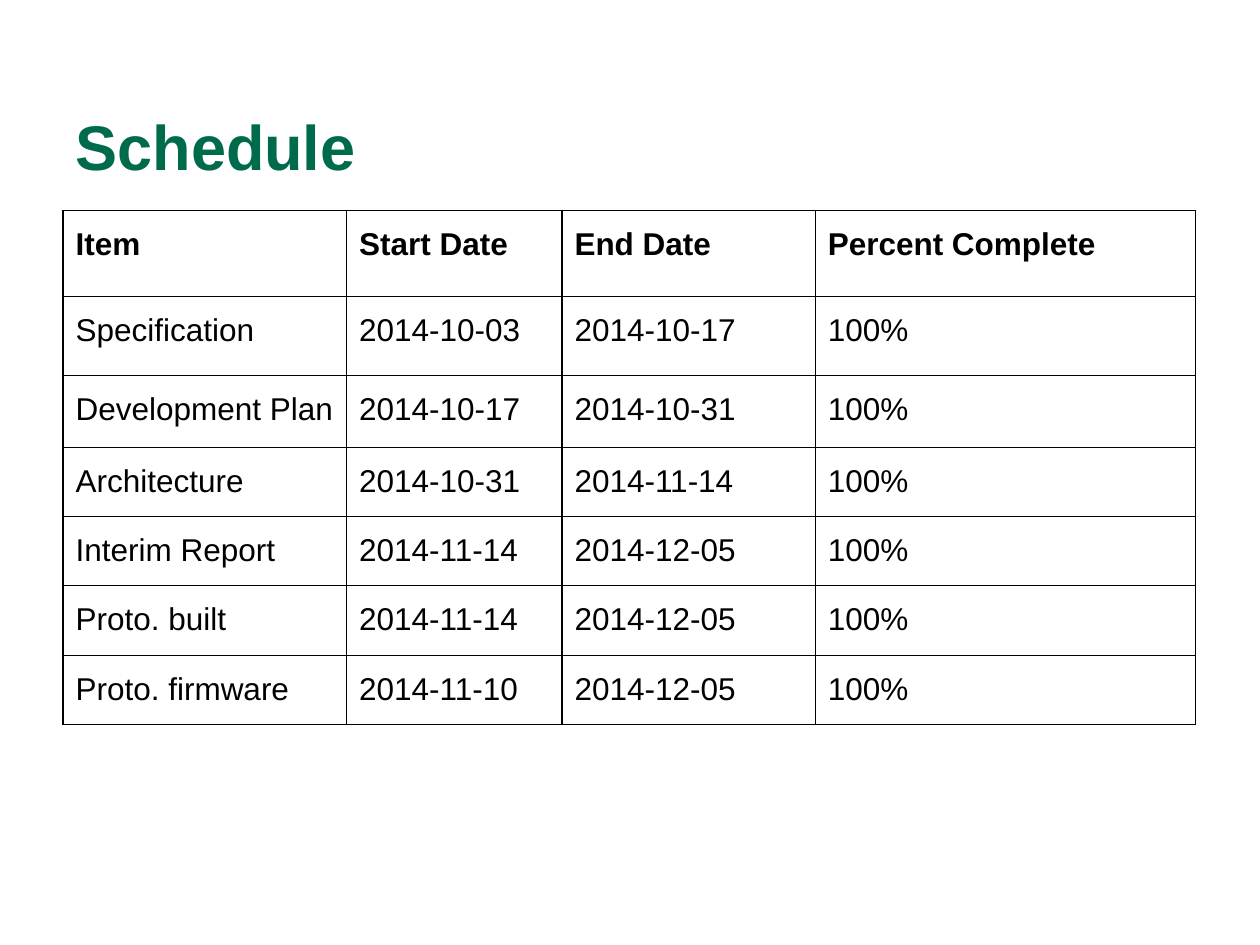
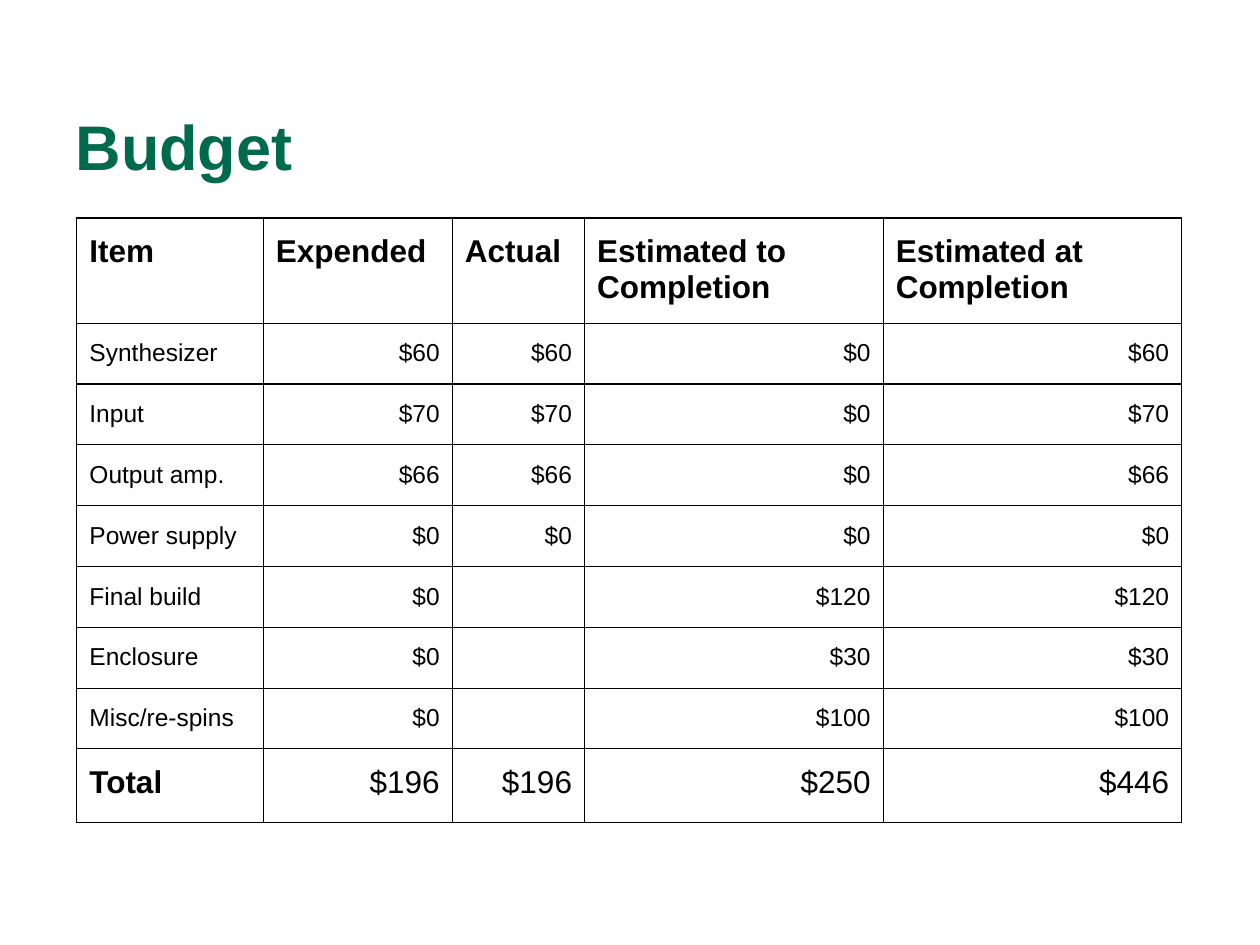
from lxml import etree
from pptx import Presentation
from pptx import util as u
from pptx.dml.color import RGBColor
from pptx.enum import text
from pptx.oxml import ns

COLORS = {"title": "006A4D", "ink": "000000"}
FONT = "Arial"
# The slide is a grid of 10 columns by 7.5 rows; boxes are left, top, width, height.
COLUMNS, ROWS = 10, 7.5
CELL = u.Inches(1)
TITLE_BOX = (0.5, 0.3, 9, 1.25)
TITLE_SIZE, LARGE, SMALL = 36, 18, 14

SCHEDULE = [
    ("Item", "Start Date", "End Date", "Percent Complete"),
    ("Specification", "2014-10-03", "2014-10-17", "100%"),
    ("Development Plan", "2014-10-17", "2014-10-31", "100%"),
    ("Architecture", "2014-10-31", "2014-11-14", "100%"),
    ("Interim Report", "2014-11-14", "2014-12-05", "100%"),
    ("Proto. built", "2014-11-14", "2014-12-05", "100%"),
    ("Proto. firmware", "2014-11-10", "2014-12-05", "100%"),
]
BUDGET = [
    ("Item", "Expended", "Actual", "Estimated to Completion", "Estimated at Completion"),
    ("Synthesizer", "$60", "$60", "$0", "$60"),
    ("Input", "$70", "$70", "$0", "$70"),
    ("Output amp.", "$66", "$66", "$0", "$66"),
    ("Power supply", "$0", "$0", "$0", "$0"),
    ("Final build", "$0", "", "$120", "$120"),
    ("Enclosure", "$0", "", "$30", "$30"),
    ("Misc/re-spins", "$0", "", "$100", "$100"),
    ("Total", "$196", "$196", "$250", "$446"),
]


def to_emu(box):
    return [round(length * CELL) for length in box]


def style_font(font, size, bold, color):
    font.name, font.size, font.bold = FONT, u.Pt(size), bold
    font.color.rgb = RGBColor.from_string(COLORS[color])


def add_titled_slide(prs, title):
    s = prs.slides.add_slide(prs.slide_layouts.get_by_name("Title Only"))
    sp = s.shapes.title
    sp.left, sp.top, sp.width, sp.height = to_emu(TITLE_BOX)
    tf = sp.text_frame
    tf.text = title
    tf.auto_size = text.MSO_AUTO_SIZE.NONE
    tf.vertical_anchor = text.MSO_ANCHOR.BOTTOM
    tf.margin_left = tf.margin_right = tf.margin_top = tf.margin_bottom = u.Inches(0.1)
    p = tf.paragraphs[0]
    p.alignment = text.PP_ALIGN.LEFT
    style_font(p.font, TITLE_SIZE, True, "title")
    return s


def add_borders(cell):
    tc_pr = cell._tc.get_or_add_tcPr()
    for index, side in enumerate(("lnL", "lnR", "lnT", "lnB")):
        line = etree.Element(ns.qn(f"a:{side}"), w=str(u.Pt(0.75)))
        fill = etree.SubElement(line, ns.qn("a:solidFill"))
        etree.SubElement(fill, ns.qn("a:srgbClr"), val=COLORS["ink"])
        tc_pr.insert(index, line)


def fill_cell(cell, value, size, bold, align):
    cell.fill.background()
    add_borders(cell)
    if not value:
        return
    cell.margin_left = cell.margin_right = u.Inches(0.1)
    cell.margin_top = cell.margin_bottom = u.Inches(0.13)
    cell.text = value
    p = cell.text_frame.paragraphs[0]
    p.alignment = align
    style_font(p.font, size, bold, "ink")


def add_grid_table(s, box, data, col_weights, row_weights, cell_style):
    """Share the box out by weight; cell_style(row, col) gives size, bold and alignment."""
    left, top, width, height = to_emu(box)
    table = s.shapes.add_table(len(data), len(data[0]), left, top, width, height).table
    table.first_row = table.horz_banding = False
    for col, weight in zip(table.columns, col_weights):
        col.width = round(width * weight / sum(col_weights))
    for row, weight in zip(table.rows, row_weights):
        row.height = round(height * weight / sum(row_weights))
    for r, values in enumerate(data):
        for c, value in enumerate(values):
            fill_cell(table.cell(r, c), value, *cell_style(r, c))


def schedule_style(row, col):
    return LARGE, row == 0, text.PP_ALIGN.LEFT


def budget_style(row, col):
    total = len(BUDGET) - 1
    size = LARGE if row in (0, total) else SMALL
    bold = row == 0 or (row == total and col == 0)
    align = text.PP_ALIGN.RIGHT if row and col else text.PP_ALIGN.LEFT
    return size, bold, align


def main():
    prs = Presentation()
    prs.slide_width, prs.slide_height = COLUMNS * CELL, round(ROWS * CELL)
    add_grid_table(add_titled_slide(prs, "Schedule"), (0.5, 1.67, 8.99, 4.08), SCHEDULE,
                   [2.25, 1.71, 2.01, 3.02], [0.68, 0.63, 0.57] + [0.55] * 4, schedule_style)
    add_grid_table(add_titled_slide(prs, "Budget"), (0.61, 1.73, 8.77, 4.8), BUDGET,
                   [1.48, 1.5, 1.05, 2.37, 2.37], [0.83] + [0.48] * 7 + [0.58], budget_style)
    prs.save("out.pptx")


if __name__ == "__main__":
    main()
